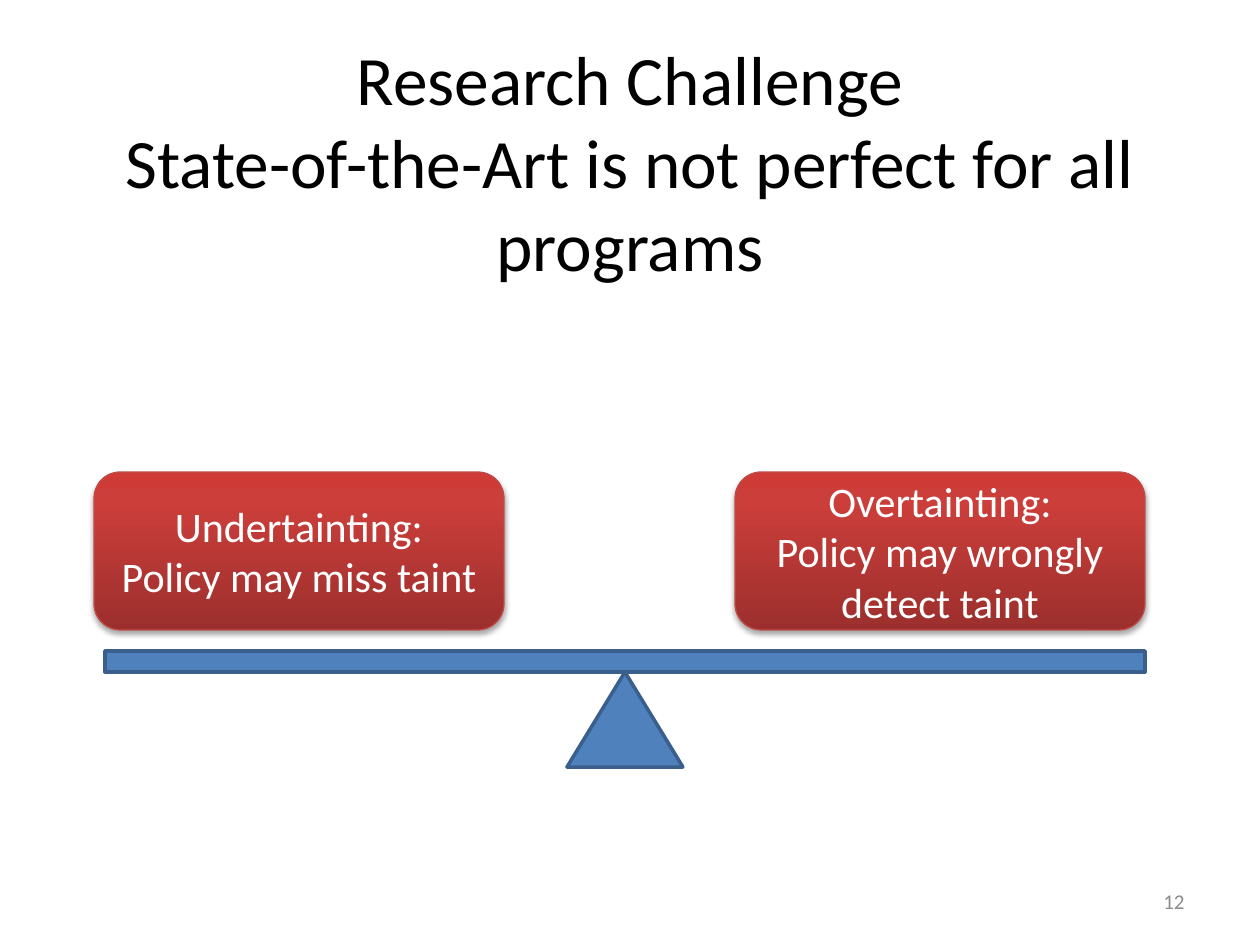
import lxml.etree
import pptx
import pptx.dml.color
import pptx.enum.shapes
import pptx.enum.text
import pptx.oxml.ns
import pptx.util

SCALE = 914400 / 126
FONT = "Calibri"
BLUE, NAVY, RED = "4F81BD", "3A5F8C", "BF4C48"
STOPS = [(0, "9C2F2D"), (80, "CB3E3A"), (100, "CE3B37")]
SHAPE = pptx.enum.shapes.MSO_SHAPE
ALIGN = pptx.enum.text.PP_ALIGN


def px(*sizes):
    return [round(size * SCALE) for size in sizes]


def color(code):
    return pptx.dml.color.RGBColor.from_string(code)


def child(node, tag, **attrs):
    item = lxml.etree.SubElement(node, pptx.oxml.ns.qn(tag))
    for name, value in attrs.items():
        item.set(name, str(value))
    return item


def write(shape, text, size, ink, align):
    frame = shape.text_frame
    frame.word_wrap = True
    frame.vertical_anchor = pptx.enum.text.MSO_ANCHOR.MIDDLE
    line = frame.paragraphs[0]
    line.text = text
    line.alignment = align
    for run in line.runs:
        run.font.name = FONT
        run.font.size = pptx.util.Pt(size)
        run.font.color.rgb = color(ink)


def add_text(slide, box, text, size, ink, align):
    write(slide.shapes.add_textbox(*px(*box)), text, size, ink, align)


def add_shape(slide, kind, box, edge, width):
    shape = slide.shapes.add_shape(kind, *px(*box))
    shape.fill.solid()
    shape.fill.fore_color.rgb = color(BLUE)
    shape.line.color.rgb = color(edge)
    shape.line.width = pptx.util.Pt(width)
    shape.shadow.inherit = False
    return shape


def shade(shape):
    """Give the shape a vertical gradient and a soft shadow below."""
    shape.fill.gradient()
    shape.fill.gradient_angle = 90
    props = shape.element.spPr
    stops = props.find(".//" + pptx.oxml.ns.qn("a:gsLst"))
    for stop in list(stops):
        stops.remove(stop)
    for place, code in STOPS:
        stop = child(stops, "a:gs", pos=place * 1000)
        child(stop, "a:srgbClr", val=code)
    effects = props.find(pptx.oxml.ns.qn("a:effectLst"))
    drop = child(effects, "a:outerShdw", blurRad=pptx.util.Pt(3.1),
                 dist=pptx.util.Pt(1.8), dir=90 * 60000, rotWithShape=0)
    child(child(drop, "a:srgbClr", val="000000"), "a:alpha", val=35000)


def add_card(slide, left, text):
    card = add_shape(slide, SHAPE.ROUNDED_RECTANGLE,
                     (left, 472, 410, 158), RED, 0.75)
    shade(card)
    write(card, text, 24, "FFFFFF", ALIGN.CENTER)


def main():
    deck = pptx.Presentation()
    deck.slide_width, deck.slide_height = px(1260, 945)
    slide = deck.slides.add_slide(deck.slide_layouts[6])
    add_text(slide, (63, 38, 1134, 246),
             "Research Challenge\vState-of-the-Art is not perfect for all programs",
             39.6, "000000", ALIGN.CENTER)
    add_text(slide, (903, 876, 294, 50), "12", 12, "8C8C8C", ALIGN.RIGHT)
    add_shape(slide, SHAPE.ISOSCELES_TRIANGLE, (567, 672, 116, 95), NAVY, 2)
    add_shape(slide, SHAPE.RECTANGLE, (105, 651, 1040, 21), NAVY, 2)
    add_card(slide, 94, "Undertainting:\vPolicy may miss taint")
    add_card(slide, 735, "Overtainting:\vPolicy may wrongly detect taint")
    deck.save("out.pptx")


if __name__ == "__main__":
    main()
